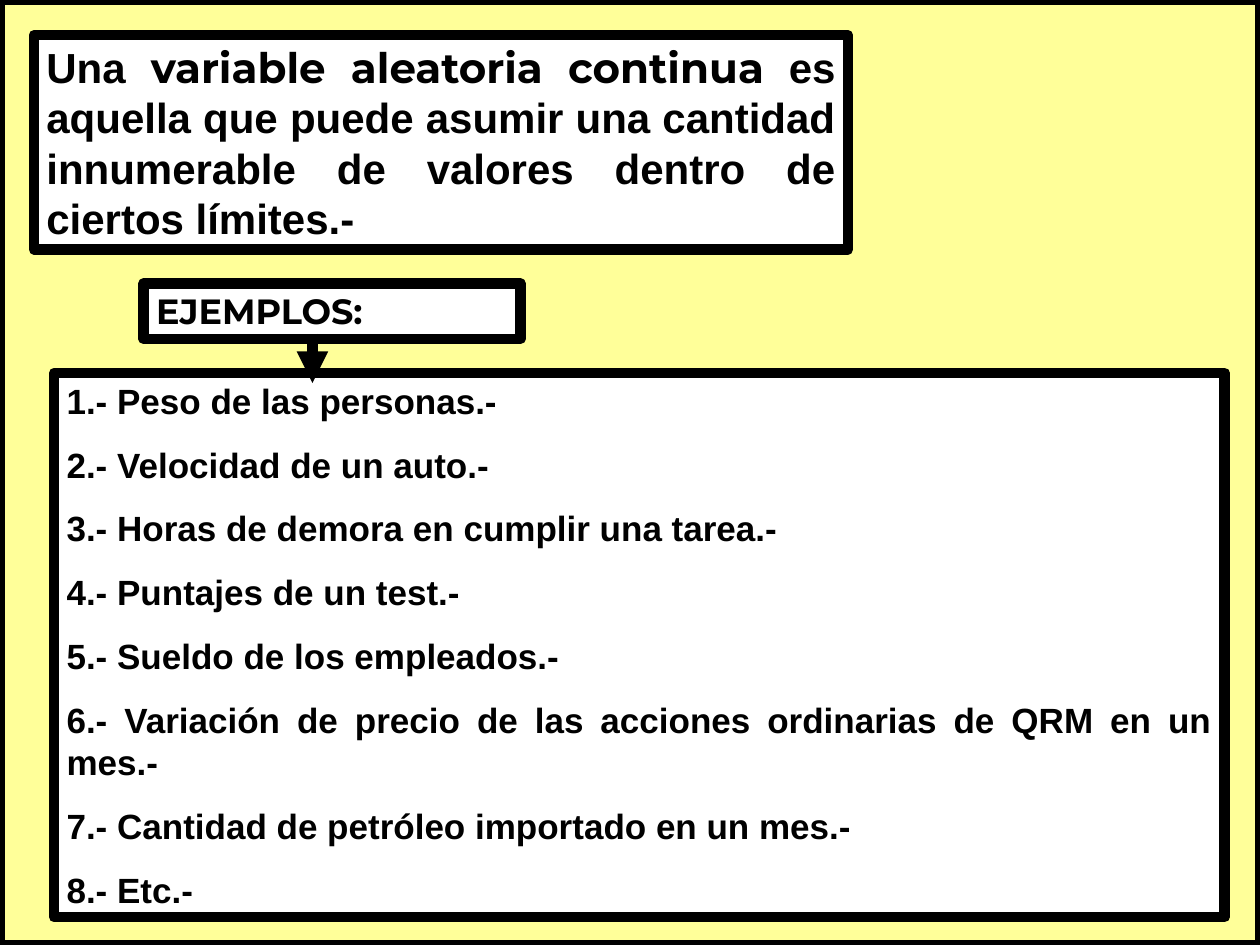
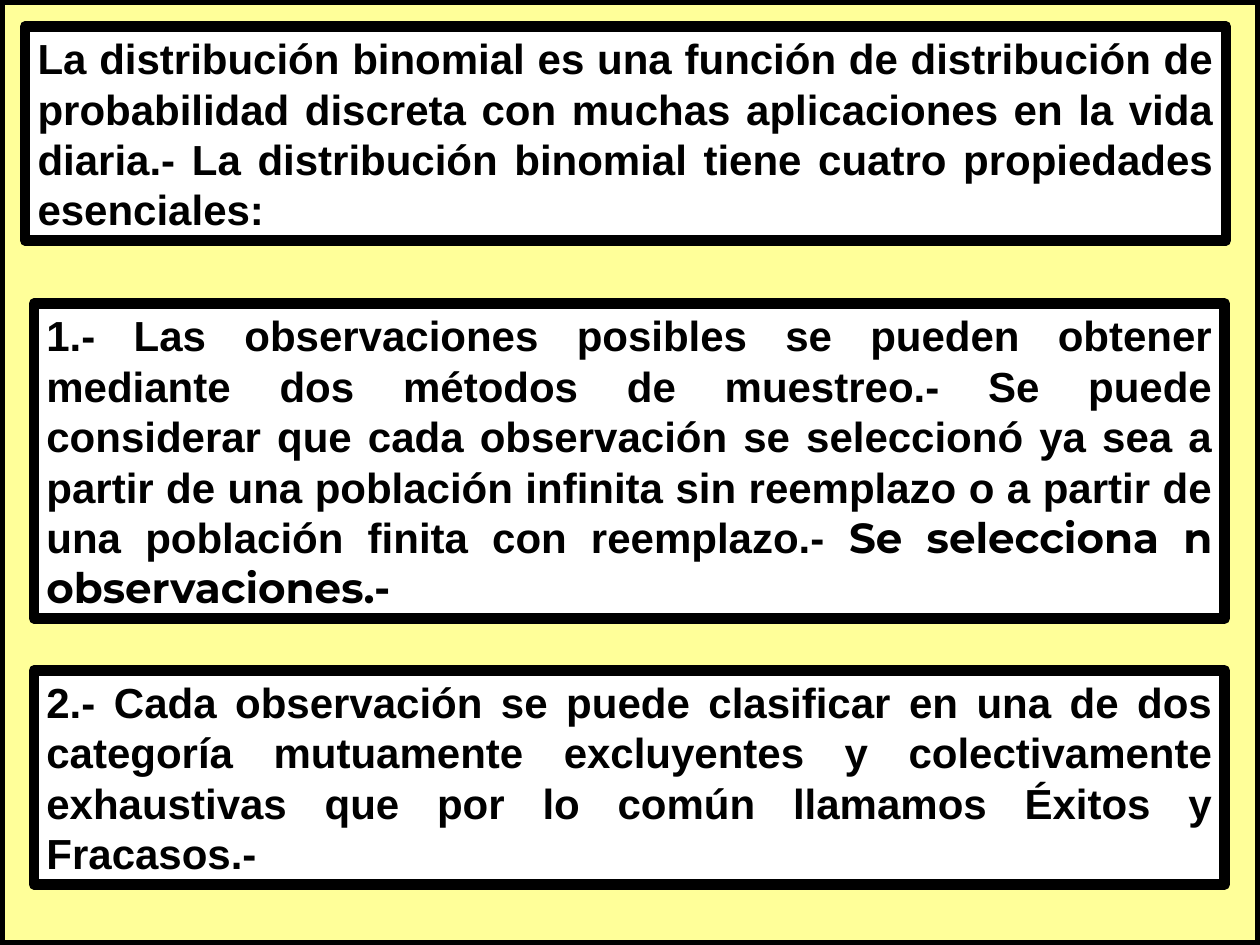
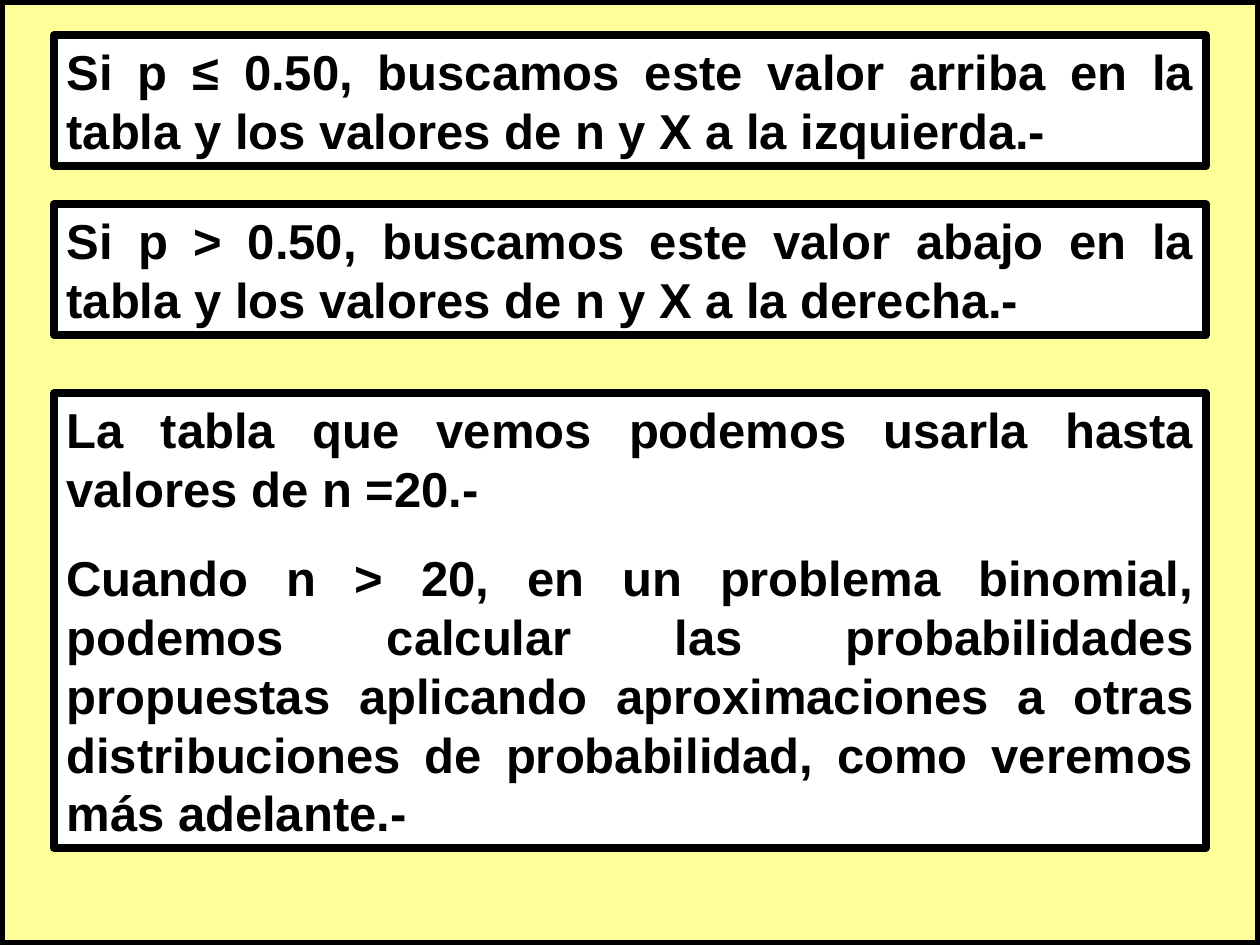
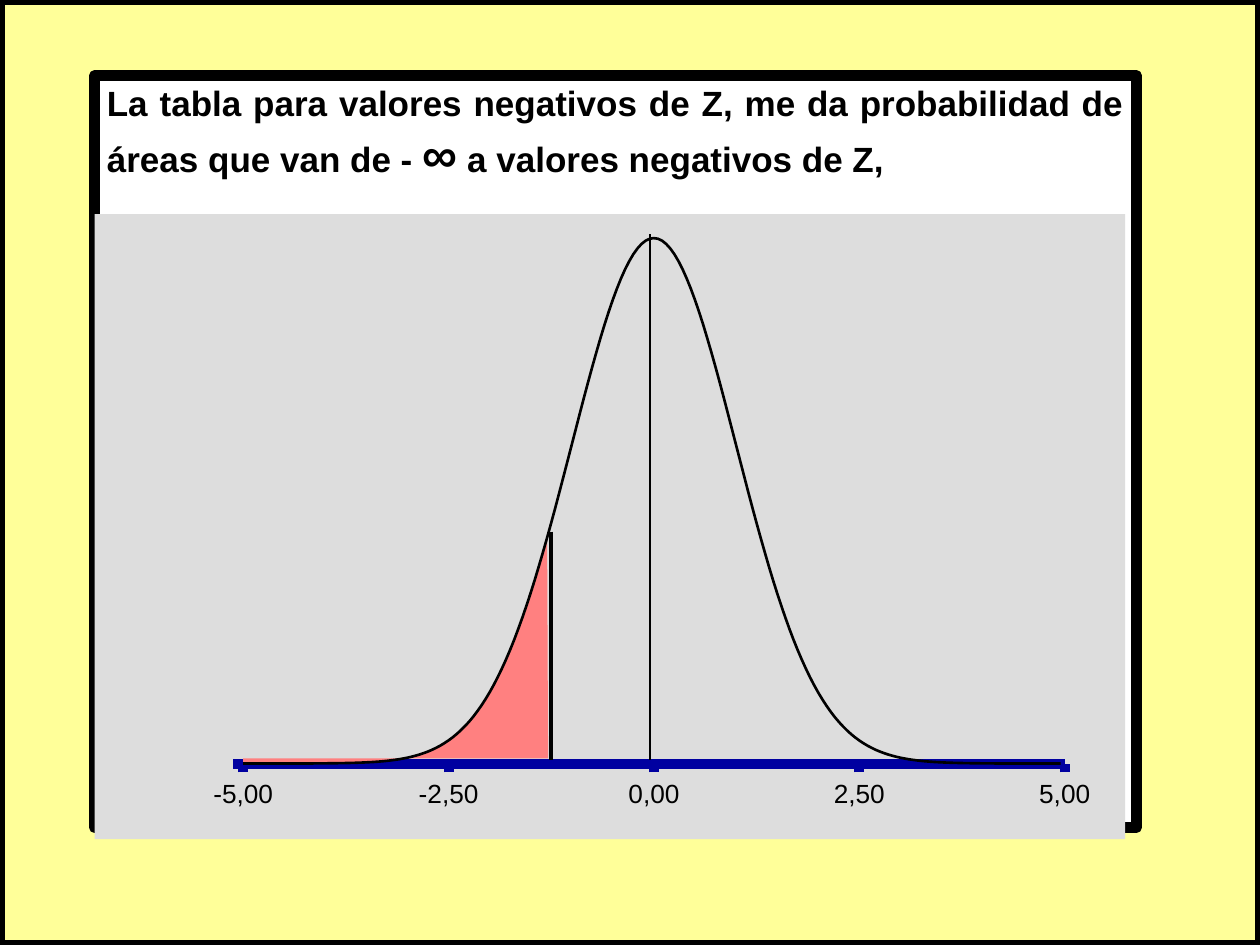
from dataclasses import dataclass
from math import exp

from pptx import Presentation
from pptx.dml.color import RGBColor
from pptx.enum.shapes import MSO_CONNECTOR, MSO_SHAPE
from pptx.enum.text import MSO_ANCHOR, PP_ALIGN
from pptx.oxml.ns import qn
from pptx.util import Inches, Pt
from lxml.etree import SubElement


@dataclass(frozen=True)
class Theme:
    ink: RGBColor = RGBColor(0, 0, 0)
    paper: RGBColor = RGBColor(255, 255, 255)
    backdrop: RGBColor = RGBColor.from_string("FFFF99")
    plot: RGBColor = RGBColor.from_string("DDDDDD")
    axis: RGBColor = RGBColor.from_string("0000A0")
    tail_area: RGBColor = RGBColor.from_string("FF8080")
    body_font: str = "Arial"
    strong_font: str = "Montserrat"
    large: int = 28
    medium: int = 24
    small: int = 20
    label: int = 15
    thick: float = 6
    thin: float = 4.5
    axis_line: float = 5.75


theme = Theme()
cell = Inches(0.1)
columns, rows = 100, 75

deck = Presentation()
deck.slide_width, deck.slide_height = columns * cell, rows * cell


def add_panel(page, place, fill, border, size=0, paragraphs=(), align=PP_ALIGN.JUSTIFY):
    box = page.shapes.add_shape(MSO_SHAPE.RECTANGLE, *[int(length * cell) for length in place])
    box.shadow.inherit = False
    box.fill.solid()
    box.fill.fore_color.rgb = fill
    if border:
        box.line.color.rgb = theme.ink
        box.line.width = Pt(border)
    else:
        box.line.fill.background()
    frame = box.text_frame
    frame.word_wrap = True
    frame.vertical_anchor = MSO_ANCHOR.TOP
    for number, pieces in enumerate(paragraphs):
        para = frame.add_paragraph() if number else frame.paragraphs[0]
        para.alignment = align
        para.space_before = Pt(size * 0.625 if number else 0)
        for text, changes in pieces:
            span = para.add_run()
            span.text = text
            span.font.color.rgb = theme.ink
            look = {"name": theme.body_font, "size": Pt(size), "bold": True} | changes
            for key, value in look.items():
                setattr(span.font, key, value)


def add_rule(page, start, end, colour, width, arrow=False):
    rule = page.shapes.add_connector(
        MSO_CONNECTOR.STRAIGHT, *[int(length * cell) for length in (*start, *end)]
    )
    rule.line.color.rgb = colour
    rule.line.width = Pt(width)
    if arrow:
        SubElement(rule.line._get_or_add_ln(), qn("a:tailEnd"), type="triangle")
    SubElement(rule._element.spPr, qn("a:effectLst"))


plain = {}
strong = {"name": theme.strong_font}
examples = [
    "1.- Peso de las personas.-",
    "2.- Velocidad de un auto.-",
    "3.- Horas de demora en cumplir una tarea.-",
    "4.- Puntajes de un test.-",
    "5.- Sueldo de los empleados.-",
    "6.- Variación de precio de las acciones ordinarias de QRM en un mes.-",
    "7.- Cantidad de petróleo importado en un mes.-",
    "8.- Etc.-",
]

continuous_panels = [
    ((2.7, 2.8, 64.6, 17), theme.paper, theme.thick, theme.medium, [[
        ("Una ", plain),
        ("variable aleatoria continua", strong),
        (" es aquella que puede asumir una cantidad innumerable de valores dentro de "
         "ciertos límites.-", plain),
    ]]),
    ((4.3, 29.6, 92.9, 43.2), theme.paper, theme.thick, theme.small,
     [[(example, plain)] for example in examples]),
    ((11.4, 22.5, 29.9, 4.4), theme.paper, theme.thick, theme.small,
     [[("EJEMPLOS:", strong)]], PP_ALIGN.LEFT),
]

binomial_panels = [
    ((2, 2.1, 95.3, 17), theme.paper, theme.thick, theme.medium, [[
        ("La distribución binomial es una función de distribución de probabilidad discreta "
         "con muchas aplicaciones en la vida diaria.- La distribución binomial tiene cuatro "
         "propiedades esenciales:", plain),
    ]]),
    ((2.7, 53.2, 94.5, 17), theme.paper, theme.thick, theme.medium, [[
        ("2.- Cada observación se puede clasificar en una de dos categoría mutuamente "
         "excluyentes y colectivamente exhaustivas que por lo común llamamos Éxitos y "
         "Fracasos.-", plain),
    ]]),
    ((2.7, 24.1, 94.5, 25), theme.paper, theme.thick, theme.medium, [[
        ("1.- Las observaciones posibles se pueden obtener mediante dos métodos de "
         "muestreo.- Se puede considerar que cada observación se seleccionó ya sea a partir "
         "de una población infinita sin reemplazo o a partir de una población finita con "
         "reemplazo.- ", plain),
        ("Se selecciona n observaciones.-", strong),
    ]]),
]

table_rules = [
    (2.8, 10.4, ["Si p ≤ 0.50, buscamos este valor arriba en la tabla y los valores de n y X "
                 "a la izquierda.-"]),
    (16.2, 10.4, ["Si p > 0.50, buscamos este valor abajo en la tabla y los valores de n y X "
                  "a la derecha.-"]),
    (31.2, 36.1, ["La tabla que vemos podemos usarla hasta valores de n =20.-",
                  "Cuando n > 20, en un problema binomial, podemos calcular las "
                  "probabilidades propuestas aplicando aproximaciones a otras distribuciones "
                  "de probabilidad, como veremos más adelante.-"]),
]
table_panels = [
    ((4.3, top, 91.4, height), theme.paper, theme.thin, theme.large,
     [[(text, plain)] for text in texts])
    for top, height, texts in table_rules
]

normal_panels = [
    ((7.5, 6, 82.7, 59.7), theme.paper, theme.thick, theme.small, [[
        ("La tabla para valores negativos de Z, me da probabilidad de áreas que van de - ",
         plain),
        ("∞", {"size": Pt(theme.large)}),
        (" a valores negativos de Z,", plain),
    ]]),
    ((7.5, 17, 81.8, 49.6), theme.plot, 0),
]

pages = []
for panels in (continuous_panels, binomial_panels, table_panels, normal_panels):
    page = deck.slides.add_slide(deck.slide_layouts[6])
    add_panel(page, (0, 0, columns, rows), theme.backdrop, theme.thick)
    for panel in panels:
        add_panel(page, *panel)
    pages.append(page)

add_rule(pages[0], (24.8, 26.5), (24.8, 30.4), theme.ink, theme.thick, arrow=True)

chart_page = pages[-1]
centre, unit, baseline, peak = 51.9, 6.52, 60.6, 41.7
axis_left, axis_right = centre - 5 * unit, centre + 5 * unit

for z, text in zip((-5, -2.5, 0, 2.5, 5), ("-5,00", "-2,50", "0,00", "2,50", "5,00")):
    tick = centre + z * unit
    add_rule(chart_page, (tick, baseline + 0.7), (tick, baseline), theme.axis, theme.axis_line)
    place = (tick - 2.4, baseline + 1.1, 4.8, 2.5)
    box = chart_page.shapes.add_textbox(*[int(length * cell) for length in place])
    frame = box.text_frame
    for side in ("left", "top", "right", "bottom"):
        setattr(frame, f"margin_{side}", 0)
    frame.word_wrap = False
    para = frame.paragraphs[0]
    para.alignment = PP_ALIGN.CENTER
    span = para.add_run()
    span.text = text
    span.font.name = theme.body_font
    span.font.size = Pt(theme.label)
    span.font.color.rgb = theme.ink

for left, right in ((axis_left, axis_right), (axis_left - 0.8, axis_left)):
    add_rule(chart_page, (left, baseline), (right, baseline), theme.axis, theme.axis_line)

scores = [step / 20 for step in range(-100, 100)]
bell = [(centre + z * unit, baseline - peak * exp(-z * z / 2)) for z in scores]
cut = 43.5
floor = baseline - 0.4
tail = [(axis_left, floor), *[point for point in bell if point[0] <= cut], (cut, floor)]

for outline, closed in ((tail, True), (bell, False)):
    points = [(int(x * cell), int(y * cell)) for x, y in outline]
    builder = chart_page.shapes.build_freeform(*points[0])
    builder.add_line_segments(points[1:], close=closed)
    curve = builder.convert_to_shape()
    curve.shadow.inherit = False
    if closed:
        curve.fill.solid()
        curve.fill.fore_color.rgb = theme.tail_area
        curve.line.fill.background()
    else:
        curve.fill.background()
        curve.line.color.rgb = theme.ink
        curve.line.width = Pt(1.5)

add_rule(chart_page, (43.7, 42.2), (43.7, 60.3), theme.ink, 2.25)
add_rule(chart_page, (51.6, 60.3), (51.6, 18.6), theme.ink, 0.75)

deck.save("out.pptx")
